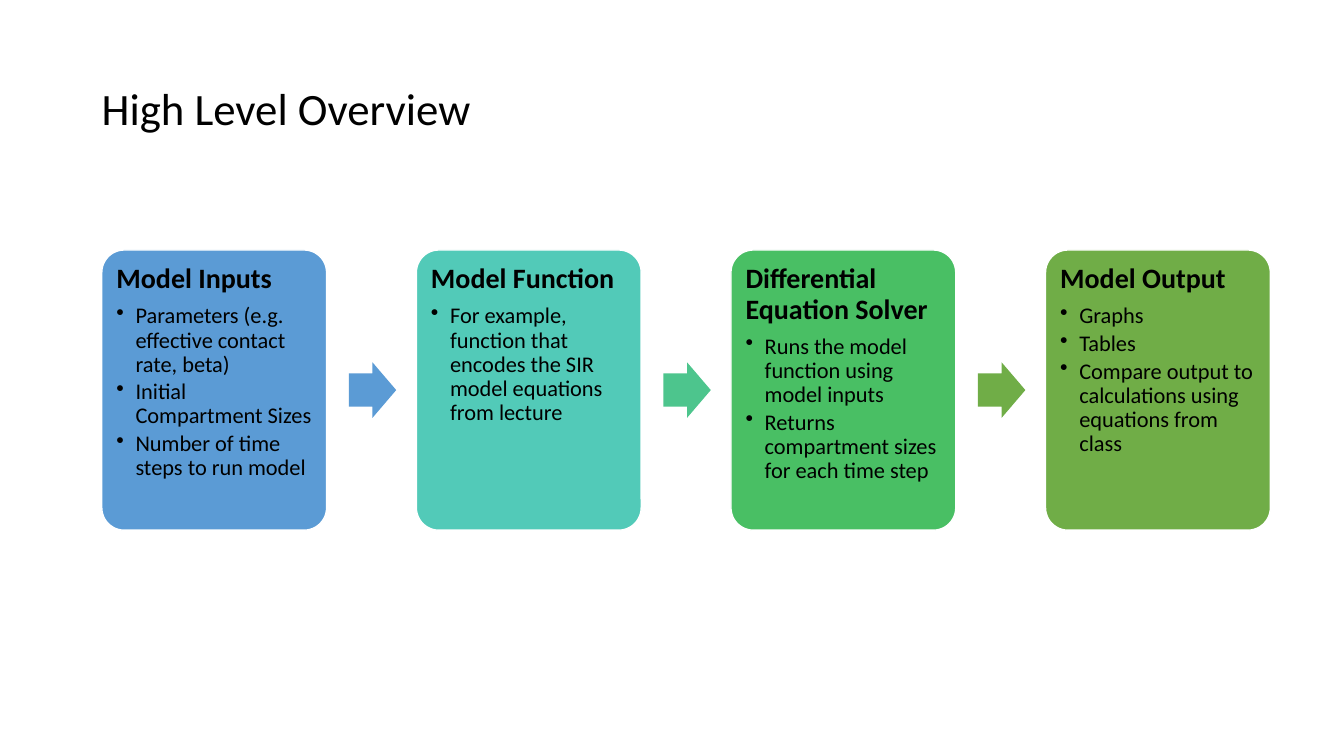
from dataclasses import dataclass

from lxml.etree import SubElement
from pptx import Presentation
from pptx.dml.color import RGBColor
from pptx.enum.shapes import MSO_SHAPE as Shape
from pptx.enum.text import MSO_ANCHOR as Anchor, MSO_AUTO_SIZE as AutoSize, PP_ALIGN as Align
from pptx.oxml.ns import qn
from pptx.util import Inches, Pt


@dataclass(frozen=True)
class Theme:
    font: str = "Calibri"
    title_size: int = 32
    heading_size: int = 20
    bullet_size: int = 16
    text: str = "000000"
    outline: str = "FFFFFF"
    stage_colors: tuple = ("5B9BD5", "52CAB8", "49BF64", "70AD47")
    arrow_colors: tuple = ("5B9BD5", "4DC58D", "70AD47")


THEME = Theme()
STAGES = [
    ("Model Inputs", ["Parameters (e.g. effective contact rate, beta)",
                      "Initial Compartment Sizes",
                      "Number of time steps to run model"]),
    ("Model Function", ["For example, function that encodes the SIR model equations from lecture"]),
    ("Differential Equation Solver", ["Runs the model function using model inputs",
                                      "Returns compartment sizes for each time step"]),
    ("Model Output", ["Graphs", "Tables",
                      "Compare output to calculations using equations from class"]),
]


def set_font(paragraph, size, bold=False):
    font = paragraph.font
    font.name, font.size, font.bold = THEME.font, Pt(size), bold
    font.color.rgb = RGBColor.from_string(THEME.text)


def add_filled(slide, kind, box, color):
    shape = slide.shapes.add_shape(kind, *map(Inches, box))
    shape.shadow.inherit = False
    shape.fill.solid()
    shape.fill.fore_color.rgb = RGBColor.from_string(color)
    return shape


def add_bullet(paragraph):
    properties = paragraph._p.get_or_add_pPr()
    properties.set("marL", str(Inches(0.19)))
    properties.set("indent", str(-Inches(0.19)))
    SubElement(properties, qn("a:buChar")).set("char", "•")


def add_title(slide, box, text):
    title = slide.shapes.add_textbox(*map(Inches, box)).text_frame
    title.word_wrap = True
    title.auto_size = AutoSize.SHAPE_TO_FIT_TEXT
    title.text = text
    set_font(title.paragraphs[0], THEME.title_size)


def add_stage(slide, box, color, heading, bullets):
    card = add_filled(slide, Shape.ROUNDED_RECTANGLE, box, color)
    card.adjustments[0] = 0.1
    card.line.color.rgb = RGBColor.from_string(THEME.outline)
    card.line.width = Pt(1)

    frame = card.text_frame
    frame.word_wrap = True
    frame.vertical_anchor = Anchor.TOP
    frame.margin_left = frame.margin_right = Inches(0.08)
    frame.margin_top = frame.margin_bottom = Inches(0.08)
    frame.text = "\n".join([heading, *bullets])
    for index, paragraph in enumerate(frame.paragraphs):
        paragraph.alignment = Align.LEFT
        paragraph.line_spacing = 0.9
        if index == 0:
            paragraph.space_after = Pt(7)
            set_font(paragraph, THEME.heading_size, bold=True)
        else:
            paragraph.level = 1
            paragraph.space_after = Pt(2.4)
            add_bullet(paragraph)
            set_font(paragraph, THEME.bullet_size)


def add_arrow(slide, box, color):
    arrow = add_filled(slide, Shape.RIGHT_ARROW, box, color)
    arrow.adjustments[0] = 0.6
    arrow.line.fill.background()


def add_process(slide, box):
    """Lay the stages out evenly across the box, with an arrow in each gap."""
    left, top, width, height = box
    card_width = 2.23
    step = (width - card_width) / (len(STAGES) - 1)
    arrow_width, arrow_height, arrow_gap = 0.47, 0.55, 0.22
    for index, (heading, bullets) in enumerate(STAGES):
        x = left + index * step
        add_stage(slide, (x, top, card_width, height),
                  THEME.stage_colors[index], heading, bullets)
        if index < len(THEME.arrow_colors):
            arrow_box = (x + card_width + arrow_gap, top + (height - arrow_height) / 2,
                         arrow_width, arrow_height)
            add_arrow(slide, arrow_box, THEME.arrow_colors[index])


def main():
    deck = Presentation()
    deck.slide_width, deck.slide_height = Inches(13.33), Inches(7.5)
    slide = deck.slides.add_slide(deck.slide_layouts[6])
    add_title(slide, (0.91, 0.75, 9.3, 0.64), "High Level Overview")
    add_process(slide, (1.01, 2.48, 11.59, 2.78))
    deck.save("out.pptx")


if __name__ == "__main__":
    main()
